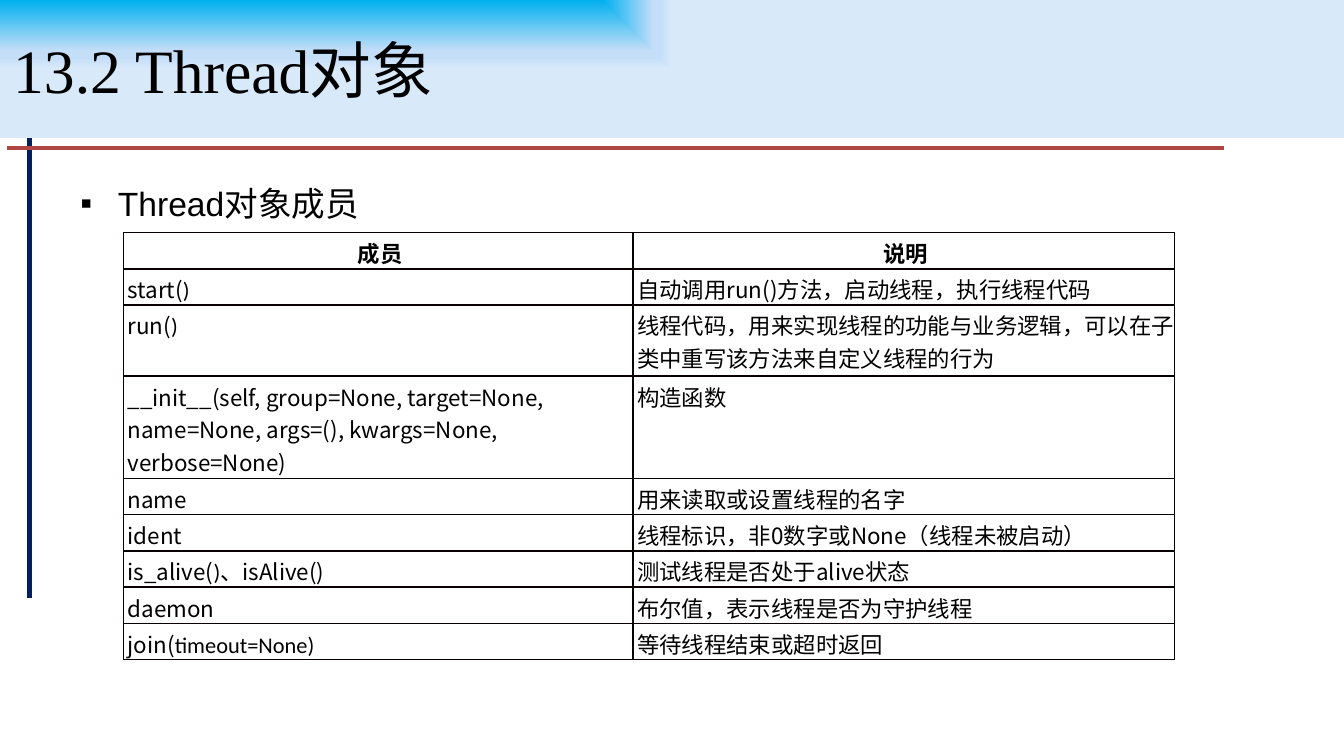
from lxml import etree
from pptx import Presentation
from pptx.dml.color import RGBColor
from pptx.enum.shapes import MSO_CONNECTOR, MSO_SHAPE
from pptx.enum.text import MSO_ANCHOR, PP_ALIGN
from pptx.oxml import parse_xml
from pptx.oxml.ns import nsdecls, qn
from pptx.util import Inches, Pt

STRAIGHT = MSO_CONNECTOR.STRAIGHT
RECT = MSO_SHAPE.RECTANGLE
MIDDLE = MSO_ANCHOR.MIDDLE
LEFT, CENTER = PP_ALIGN.LEFT, PP_ALIGN.CENTER

COLORS = {"text": "000000", "navy": "002060", "red": "AC4744", "border": "080000"}
BANNER_STOPS = [(0, "00B0F0"), (74, "C5DEF8"), (83, "C5DEF8"), (100, "D8E9FA")]
CJK, CALIBRI = "Noto Sans CJK SC", "Calibri"
COLUMNS = [3.79, 4.03]
HEIGHTS = [0.27, 0.27, 0.53, 0.76] + [0.27] * 5
MEMBERS = [
    ([("成员", CJK)], "说明"),
    ([("start(", CJK), (")", CALIBRI)], "自动调用run()方法，启动线程，执行线程代码"),
    ([("run(", CJK), (")", CALIBRI)],
     "线程代码，用来实现线程的功能与业务逻辑，可以在子类中重写该方法来自定义线程的行为"),
    ([("__init__(self, group=None, target=None, name=None, args=(), kwargs=None, verbose=None)",
       CJK)], "构造函数"),
    ([("name", CJK)], "用来读取或设置线程的名字"),
    ([("ident", CJK)], "线程标识，非0数字或None（线程未被启动）"),
    ([("is_alive(", CJK), (")", CALIBRI), ("、isAlive()", CJK)], "测试线程是否处于alive状态"),
    ([("daemon", CJK)], "布尔值，表示线程是否为守护线程"),
    ([("join(", CJK), ("timeout=None)", CALIBRI)], "等待线程结束或超时返回"),
]


def add_run(p, text, name, size, bold=False):
    """Add a run with Latin and East Asian fonts."""
    r = p.add_run()
    r.text = text
    for key, value in {"name": name, "size": Pt(size), "bold": bold}.items():
        setattr(r.font, key, value)
    r.font.color.rgb = RGBColor.from_string(COLORS["text"])
    r.font._element.find(qn("a:latin")).addnext(
        parse_xml(f'<a:ea {nsdecls("a")} typeface="{CJK}"/>'))


def add_rule(s, x1, y1, x2, y2, color):
    """Draw a straight rule without a shadow."""
    line = s.shapes.add_connector(STRAIGHT, *map(Inches, (x1, y1, x2, y2)))
    line.line.color.rgb = RGBColor.from_string(COLORS[color])
    line.line.width = Pt(2.25)
    etree.SubElement(line._element.spPr, qn("a:effectLst"))


def add_banner(s, text):
    """Add the title banner with its corner gradient."""
    sp = s.shapes.add_shape(RECT, 0, 0, Inches(10), Inches(1.03))
    sp.shadow.inherit = False
    sp.line.fill.background()
    stops = "".join(f'<a:gs pos="{pos * 1000}"><a:srgbClr val="{color}"/></a:gs>'
                    for pos, color in BANNER_STOPS)
    sp._element.spPr.find(qn("a:prstGeom")).addnext(parse_xml(
        f'<a:gradFill {nsdecls("a")} rotWithShape="1"><a:gsLst>{stops}</a:gsLst>'
        '<a:path path="rect"><a:fillToRect r="100000" b="100000"/></a:path></a:gradFill>'))
    tf = sp.text_frame
    tf.word_wrap = True
    tf.vertical_anchor = MIDDLE
    p = tf.paragraphs[0]
    p.alignment = LEFT
    add_run(p, text, "Times New Roman", 33)


def add_bullet(s, text):
    """Add the bulleted heading above the table."""
    tf = s.shapes.add_textbox(*map(Inches, (0.5, 1.31, 9, 3.71))).text_frame
    tf.word_wrap = True
    p = tf.paragraphs[0]
    p.space_before = Pt(2.7)
    pPr = p._p.get_or_add_pPr()
    for key, value in {"marL": Inches(0.28), "indent": Inches(-0.28)}.items():
        pPr.set(key, str(value))
    etree.SubElement(pPr, qn("a:buFont")).set("typeface", "Arial")
    etree.SubElement(pPr, qn("a:buChar")).set("char", "▪")
    add_run(p, text, "Arial", 18)


def set_border(cell, side, color, width):
    """Append one solid border to a cell."""
    cell._tc.get_or_add_tcPr().append(parse_xml(
        f'<a:ln{side} {nsdecls("a")} w="{Pt(width)}"><a:solidFill>'
        f'<a:srgbClr val="{COLORS[color]}"/></a:solidFill></a:ln{side}>'))


def fill_cell(cell, runs, header, last):
    """Write and format one table cell."""
    margins = {"margin_left": 0.03, "margin_top": 0.03, "margin_right": 0, "margin_bottom": 0}
    for key, value in margins.items():
        setattr(cell, key, Inches(value))
    for side in "LRTB":
        outer = last and side == "R"
        set_border(cell, side, "text" if outer else "border", 0.75 if outer else 1)
    cell.fill.background()
    p = cell.text_frame.paragraphs[0]
    p.alignment = CENTER if header else LEFT
    for text, font in runs:
        add_run(p, text, font, 12, header)


def add_members(s):
    """Add the table of members and their meaning."""
    table = s.shapes.add_table(len(MEMBERS), len(COLUMNS), *map(
        Inches, (0.92, 1.73, sum(COLUMNS), sum(HEIGHTS)))).table
    table.first_row = table.horz_banding = False
    for column, width in zip(table.columns, COLUMNS):
        column.width = Inches(width)
    for i, (member, meaning) in enumerate(MEMBERS):
        table.rows[i].height = Inches(HEIGHTS[i])
        for j, runs in enumerate((member, [(meaning, CJK)])):
            fill_cell(table.cell(i, j), runs, i == 0, j == 1)


def main():
    """Build the slide and save it."""
    prs = Presentation()
    prs.slide_width, prs.slide_height = Inches(10), Inches(10 * 9 / 16)
    s = prs.slides.add_slide(prs.slide_layouts[6])
    add_rule(s, 0.22, 0.81, 0.22, 4.45, "navy")
    add_rule(s, 0.05, 1.1, 9.11, 1.1, "red")
    add_bullet(s, "Thread对象成员")
    add_members(s)
    add_banner(s, "13.2 Thread对象")
    prs.save("out.pptx")


if __name__ == "__main__":
    main()
